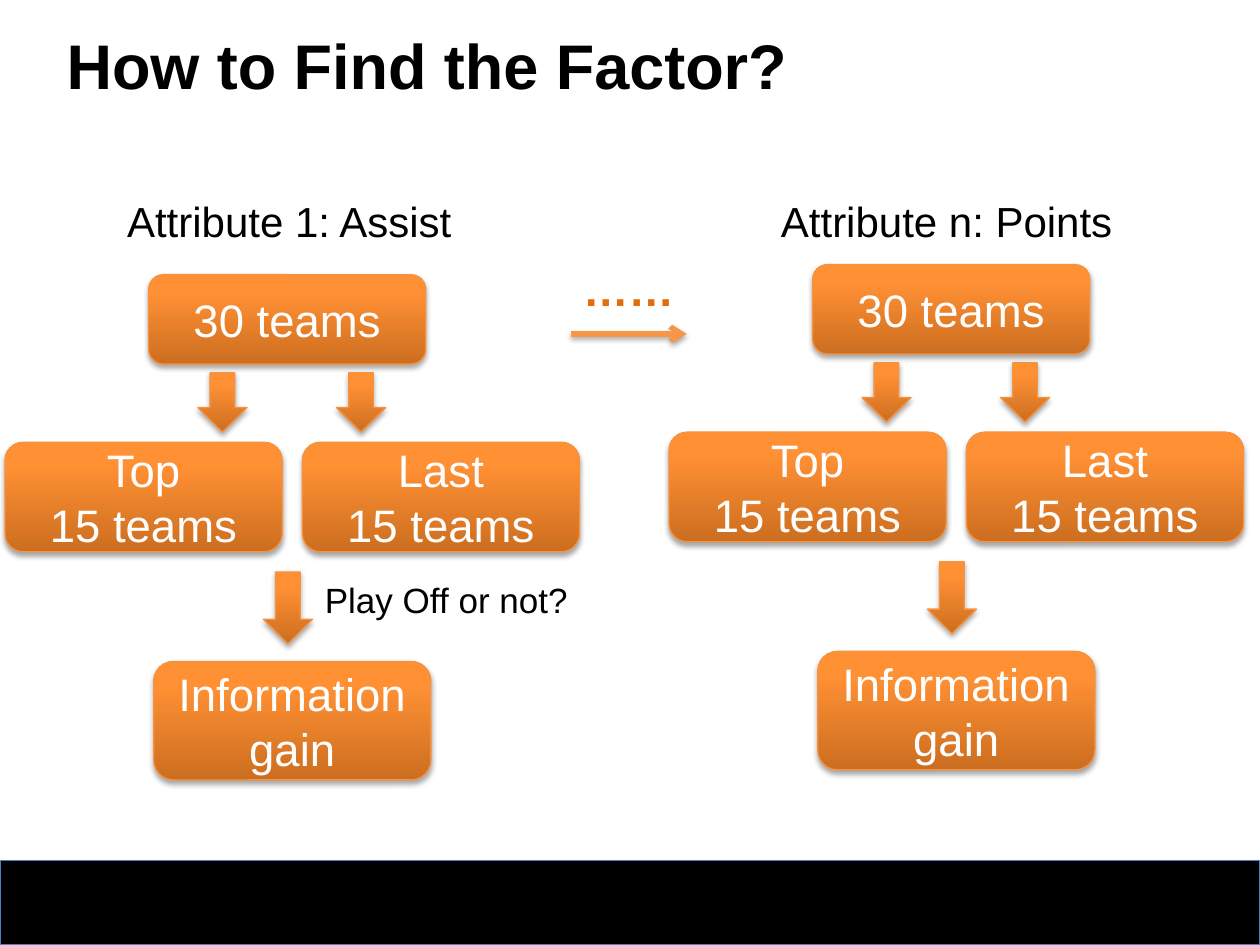
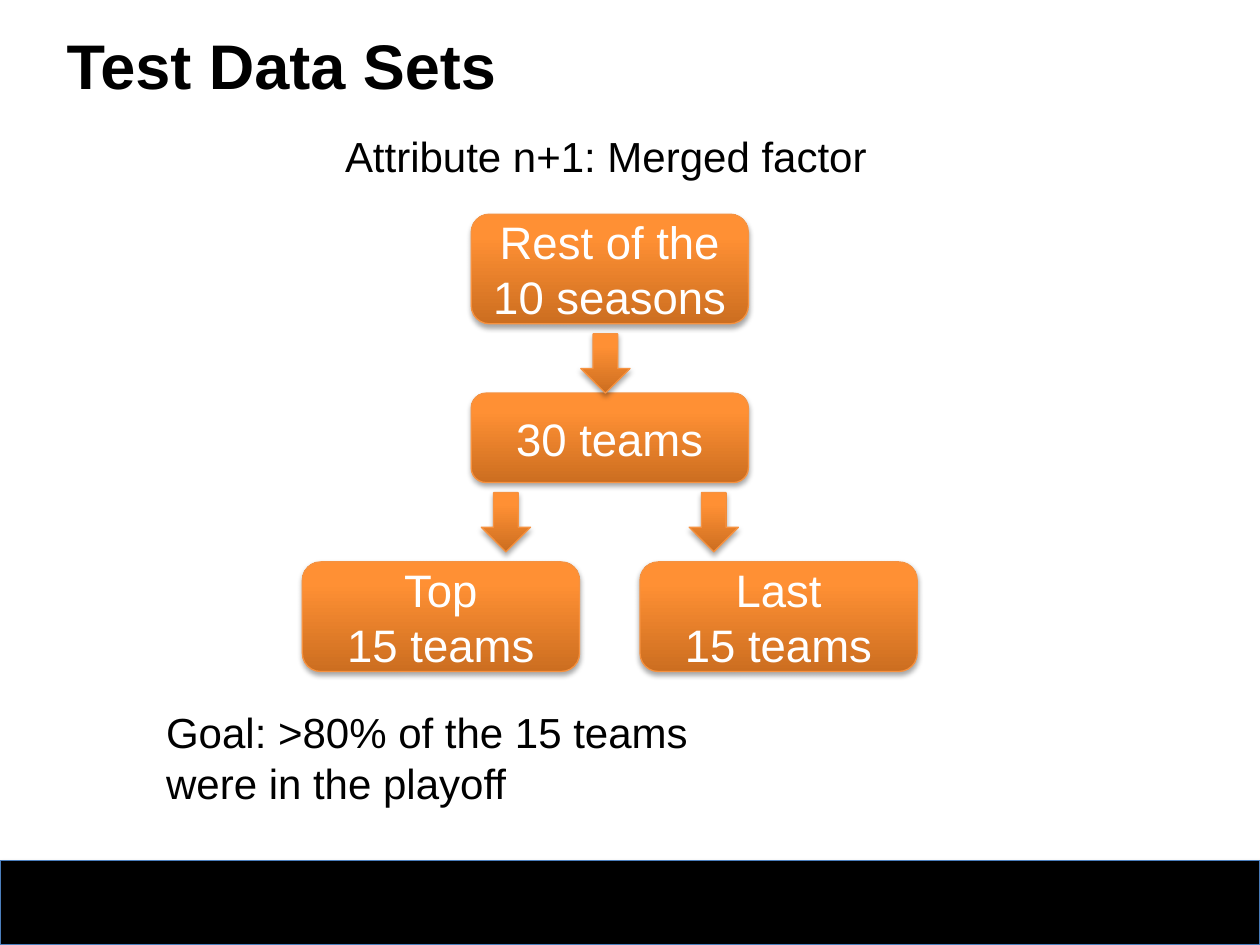
from pptx import Presentation
from pptx import util as u
from pptx.dml.color import RGBColor
from pptx.enum import dml, shapes, text
from pptx.oxml import parse_xml
from pptx.oxml.ns import nsdecls

BLACK = RGBColor(0x00, 0x00, 0x00)
WHITE = RGBColor(0xFF, 0xFF, 0xFF)
BLUE = RGBColor(0x4B, 0x7E, 0xBC)
DARK = RGBColor(0xCC, 0x6E, 0x20)
LIGHT = RGBColor(0xFF, 0x90, 0x34)
EDGE = RGBColor(0xF6, 0x92, 0x40)
DOTS = RGBColor(0xE4, 0x6C, 0x0A)
LINK = RGBColor(0xF7, 0x96, 0x46)

FONT = "Arial"
COLS, ROWS = 100, 75
CELL = u.Inches(0.1)
BOX_W, ONE_H, TWO_H, GAIN_H = 22, 7.1, 8.7, 9.4
HEAD_W, HEAD_H = 3.9, 4.7

SHADE = (
    f'<a:effectLst {nsdecls("a")}>'
    '<a:outerShdw blurRad="40000" dist="23000" dir="5400000" rotWithShape="0">'
    '<a:srgbClr val="000000"><a:alpha val="35000"/></a:srgbClr>'
    '</a:outerShdw></a:effectLst>'
)


def grid(*cells):
    return [round(c * CELL) for c in cells]


def write(frame, words, size, color, bold=False, align=text.PP_ALIGN.LEFT):
    frame.word_wrap = True
    frame.text = words
    for para in frame.paragraphs:
        para.alignment = align
        for run in para.runs:
            font = run.font
            font.name, font.size, font.bold = FONT, u.Pt(size), bold
            font.color.rgb = color


def label(slide, words, x, y, w, h, size=24, color=BLACK, bold=False):
    frame = slide.shapes.add_textbox(*grid(x, y, w, h)).text_frame
    write(frame, words, size, color, bold)
    return frame


def solid(slide, kind, x, y, w, h, edge):
    shape = slide.shapes.add_shape(kind, *grid(x, y, w, h))
    shape.shadow.inherit = False
    shape.line.color.rgb = edge
    shape.line.width = u.Pt(0.75)
    props = shape.element.spPr
    props.remove(props.find("{*}effectLst"))
    props.append(parse_xml(SHADE))
    return shape


def glow(slide, kind, x, y, w, h):
    shape = solid(slide, kind, x, y, w, h, EDGE)
    shape.fill.gradient()
    shape.fill.gradient_angle = 90
    for stop, color, place in zip(shape.fill.gradient_stops, (DARK, LIGHT), (0, 0.8)):
        stop.color.rgb = color
        stop.position = place
    return shape


def box(slide, words, x, y, h):
    shape = glow(slide, shapes.MSO_SHAPE.ROUNDED_RECTANGLE, x, y, BOX_W, h)
    shape.text_frame.vertical_anchor = text.MSO_ANCHOR.MIDDLE
    write(shape.text_frame, words, 26, WHITE, align=text.PP_ALIGN.CENTER)


def down(slide, x, y, h=HEAD_H):
    glow(slide, shapes.MSO_SHAPE.DOWN_ARROW, x, y, HEAD_W, h)


def split(slide, y, heads, boxes):
    for x in heads:
        down(slide, x, y)
    for word, x in zip(("Top", "Last"), boxes):
        box(slide, word + "\n15 teams", x, y + 5.5, TWO_H)


def flow(slide, dx, dy):
    box(slide, "30 teams", 11.8 + dx, 21.8 + dy, ONE_H)
    split(slide, 29.6 + dy, (15.7 + dx, 26.7 + dx), (0.4 + dx, 24 + dx))
    down(slide, 20.9 + dx, 45.4 + dy, 5.7)
    box(slide, "Information gain", 12.2 + dx, 52.5 + dy, GAIN_H)


def link(slide, x, y, end):
    line = slide.shapes.add_connector(
        shapes.MSO_CONNECTOR.STRAIGHT, *grid(x, y, end, y))
    line.line.color.rgb = LINK
    line.line.width = u.Pt(3)
    line.line.dash_style = dml.MSO_LINE.SOLID
    line.line._get_or_add_ln().append(
        parse_xml(f'<a:tailEnd {nsdecls("a")} type="arrow"/>'))
    line._element.spPr.append(parse_xml(SHADE))


def page(deck, title):
    slide = deck.slides.add_slide(deck.slide_layouts[6])
    band = solid(slide, shapes.MSO_SHAPE.RECTANGLE, 0, 68.3, COLS, ROWS - 68.3, BLUE)
    band.fill.solid()
    band.fill.fore_color.rgb = BLACK
    frame = label(slide, title, 4.3, 1.3, 63.8, 7.6, 36, bold=True)
    frame.vertical_anchor = text.MSO_ANCHOR.MIDDLE
    return slide


def factor(deck):
    slide = page(deck, "How to Find the Factor?")
    label(slide, "Attribute 1: Assist", 9.1, 15, 31.5, 5)
    label(slide, "Attribute n: Points", 61, 15, 32.3, 5)
    label(slide, "……", 45.3, 20.2, 10.2, 5.4, 26, DOTS, True)
    link(slide, 45.3, 26.5, 54.5)
    label(slide, "Play Off or not?", 24.8, 45.4, 22, 4.4, 20)
    for dx, dy in ((0, 0), (52.7, -0.8)):
        flow(slide, dx, dy)


def tests(deck):
    slide = page(deck, "Test Data Sets")
    label(slide, "Attribute n+1: Merged factor", 26.4, 9.9, 45.7, 5)
    box(slide, "Rest of the 10 seasons", 37.4, 17, TWO_H)
    box(slide, "30 teams", 37.4, 31.2, ONE_H)
    down(slide, 46.1, 26.5)
    split(slide, 39.1, (38.2, 54.7), (24, 50.8))
    label(slide, "Goal: >80% of the 15 teams were in the playoff", 12.2, 55.6, 45.7, 9.1)


def main():
    deck = Presentation()
    deck.slide_width, deck.slide_height = grid(COLS, ROWS)
    factor(deck)
    tests(deck)
    deck.save("out.pptx")


if __name__ == "__main__":
    main()
